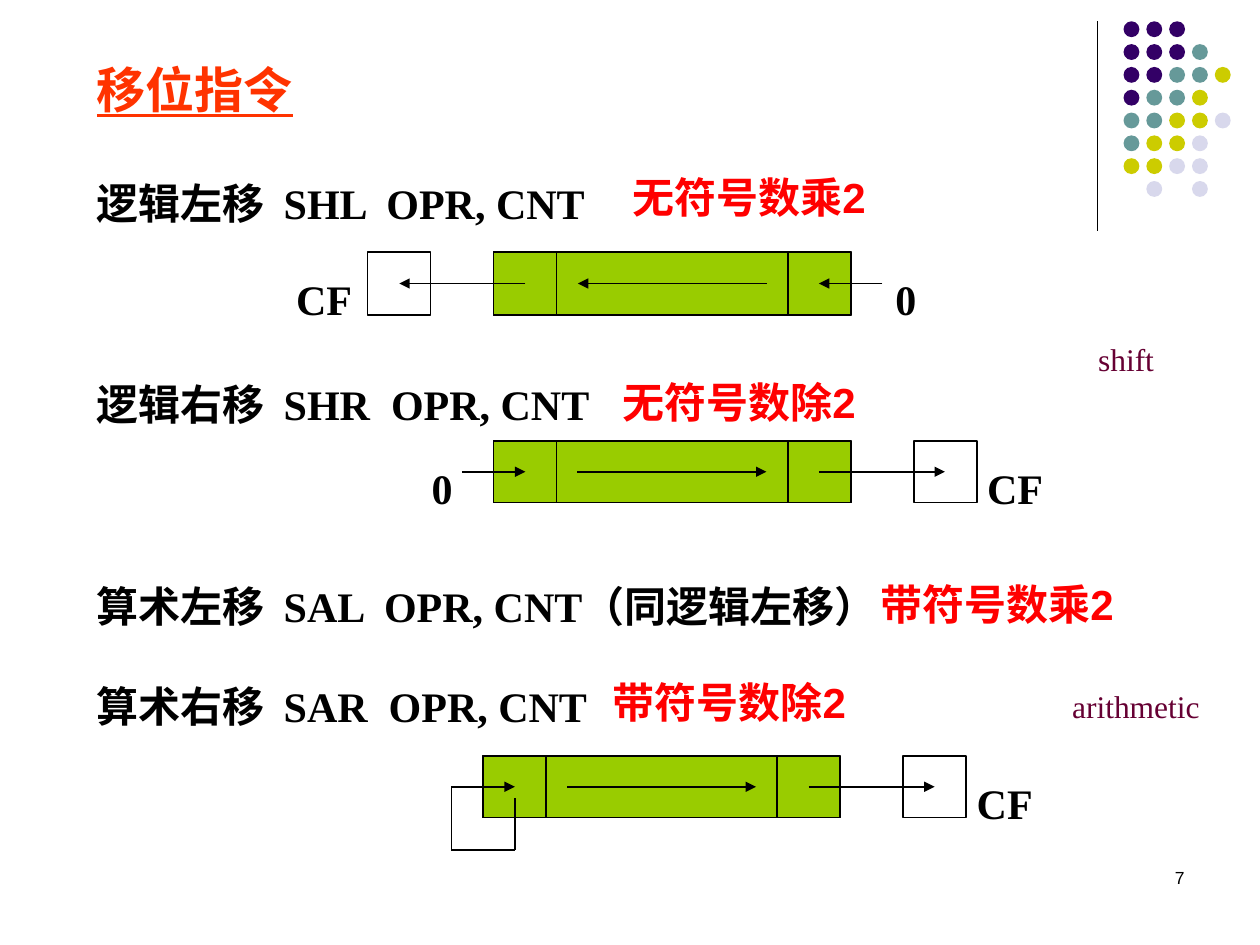
from lxml import etree
from pptx import Presentation
from pptx.dml.color import RGBColor
from pptx.enum import shapes, text
from pptx.oxml import ns
from pptx.util import Cm, Pt

SERIF, SANS = "Times New Roman", "Arial"
BLACK, RED, ORANGE, PLUM, GREEN = "000000", "FF0000", "FF3300", "660033", "99CC00"
LEFT, CENTER, RIGHT = text.PP_ALIGN.LEFT, text.PP_ALIGN.CENTER, text.PP_ALIGN.RIGHT

TITLE = "移位指令"
INSTRUCTIONS = [
    (0, "逻辑左移  SHL  OPR, CNT"),
    (2, "逻辑右移  SHR  OPR, CNT"),
    (4, "算术左移  SAL  OPR, CNT（同逻辑左移）"),
    (5, "算术右移  SAR  OPR, CNT"),
]
EFFECTS = [
    ("无符号数乘2", 12.5, 3.33),
    ("无符号数除2", 12.3, 7.47),
    ("带符号数乘2", 17.5, 11.53),
    ("带符号数除2", 12.1, 13.51),
]
GLOSSES = [("shift", 20.7, 6.73), ("arithmetic", 20.9, 13.72)]
PAGE_NUMBER = "7"

REGISTERS = [
    {"left": 9.95, "top": 5.08, "height": 1.27, "mirrored": True,
     "labels": [("CF", -4.23), ("0", 7.85)]},
    {"left": 9.95, "top": 8.89, "height": 1.24, "mirrored": False,
     "labels": [("0", -1.5), ("CF", 9.7)]},
    {"left": 9.74, "top": 15.24, "height": 1.24, "mirrored": False,
     "labels": [("CF", 9.7)]},
]
REGISTER_WIDTH, CELL, FLAG_OFFSET = 7.2, 1.27, 8.47
SHIFT_ARROWS = [(-0.64, 0.64), (1.69, 5.5), (6.56, 9.1)]
FEEDBACK = [(-0.64, 0.62), (-0.64, 1.9), (0.64, 1.9), (0.64, 0.84)]

DOT_COLORS = {"P": "330066", "T": "669999", "Y": "CCCC00", "L": "D8D8EC"}
DOT_ROWS = ["PPP", "PPPT", "PPTTY", "PTTY", "TTYYL", "TYYL", "YYLL", " L L"]
DOT_LEFT, DOT_TOP, DOT_PITCH, DOT_SIZE = 22.65, 0.43, 0.46, 0.32


def color(value):
    return RGBColor.from_string(value)


def write(frame, words, size, font, ink, bold=False, align=LEFT):
    frame.text = words
    frame.word_wrap = True
    frame.auto_size = text.MSO_AUTO_SIZE.NONE
    frame.vertical_anchor = text.MSO_ANCHOR.TOP
    para = frame.paragraphs[0]
    para.alignment = align
    span = para.runs[0].font
    span.size, span.name, span.bold = Pt(size), font, bold
    span.color.rgb = color(ink)
    return span


def add_text(page, words, left, top, width, height, *style, **options):
    box = page.shapes.add_textbox(Cm(left), Cm(top), Cm(width), Cm(height))
    write(box.text_frame, words, *style, **options)


def add_block(page, kind, left, top, width, height, fill=None, outlined=True):
    block = page.shapes.add_shape(kind, Cm(left), Cm(top), Cm(width), Cm(height))
    block.shadow.inherit = False
    if fill:
        block.fill.solid()
        block.fill.fore_color.rgb = color(fill)
    else:
        block.fill.background()
    if outlined:
        block.line.color.rgb = color(BLACK)
        block.line.width = Pt(1)
    else:
        block.line.fill.background()


def add_line(page, start, end, width=1, arrow=False):
    ends = [Cm(value) for value in (*start, *end)]
    line = page.shapes.add_connector(shapes.MSO_CONNECTOR.STRAIGHT, *ends)
    line.line.color.rgb = color(BLACK)
    line.line.width = Pt(width)
    if arrow:
        etree.SubElement(line.line._get_or_add_ln(), ns.qn("a:tailEnd"), type="triangle")
    etree.SubElement(line._element.spPr, ns.qn("a:effectLst"))


def add_dots(page):
    add_line(page, (22.12, 0.43), (22.12, 4.65), 0.75)
    for row, codes in enumerate(DOT_ROWS):
        for column, code in enumerate(codes):
            if code in DOT_COLORS:
                add_block(page, shapes.MSO_SHAPE.OVAL,
                          DOT_LEFT + column * DOT_PITCH, DOT_TOP + row * DOT_PITCH,
                          DOT_SIZE, DOT_SIZE, DOT_COLORS[code], outlined=False)


def add_register(page, left, top, height, mirrored, labels):
    def place(offset, width=0):
        return left + (REGISTER_WIDTH - offset - width if mirrored else offset)

    rectangle = shapes.MSO_SHAPE.RECTANGLE
    add_block(page, rectangle, left, top, REGISTER_WIDTH, height, GREEN)
    for offset in (0, REGISTER_WIDTH - CELL, FLAG_OFFSET):
        add_block(page, rectangle, place(offset, CELL), top, CELL, height)
    middle = top + height / 2
    for start, end in SHIFT_ARROWS:
        add_line(page, (place(start), middle), (place(end), middle), arrow=True)
    for words, offset in labels:
        add_text(page, words, left + offset, top + 0.3, 1.8, 1.27, 24, SERIF, BLACK, bold=True)


def add_feedback(page, left, top):
    corners = [(left + x, top + y) for x, y in FEEDBACK]
    for start, end in zip(corners, corners[1:]):
        add_line(page, start, end)


def main():
    deck = Presentation()
    deck.slide_width, deck.slide_height = Cm(25.4), Cm(19.05)
    page = deck.slides.add_slide(deck.slide_layouts[5])

    title = page.shapes.title
    title.left, title.top, title.width, title.height = Cm(1.7), Cm(1.07), Cm(19), Cm(1.7)
    write(title.text_frame, TITLE, 28, SERIF, ORANGE, bold=True).underline = True

    add_dots(page)
    for row, words in INSTRUCTIONS:
        add_text(page, words, 1.7, 3.45 + row * 2.03, 21.6, 1.27, 24, SERIF, BLACK, bold=True)
    for register in REGISTERS:
        add_register(page, **register)
    add_feedback(page, REGISTERS[-1]["left"], REGISTERS[-1]["top"])
    for words, left, top in EFFECTS:
        add_text(page, words, left, top, 5.6, 1.27, 24, SANS, RED, bold=True)
    for words, left, top in GLOSSES:
        add_text(page, words, left, top, 4, 1.02, 18, SERIF, PLUM, align=CENTER)
    add_text(page, PAGE_NUMBER, 18.21, 17.35, 5.92, 1.27, 10, SANS, BLACK, align=RIGHT)

    deck.save("out.pptx")


if __name__ == "__main__":
    main()
